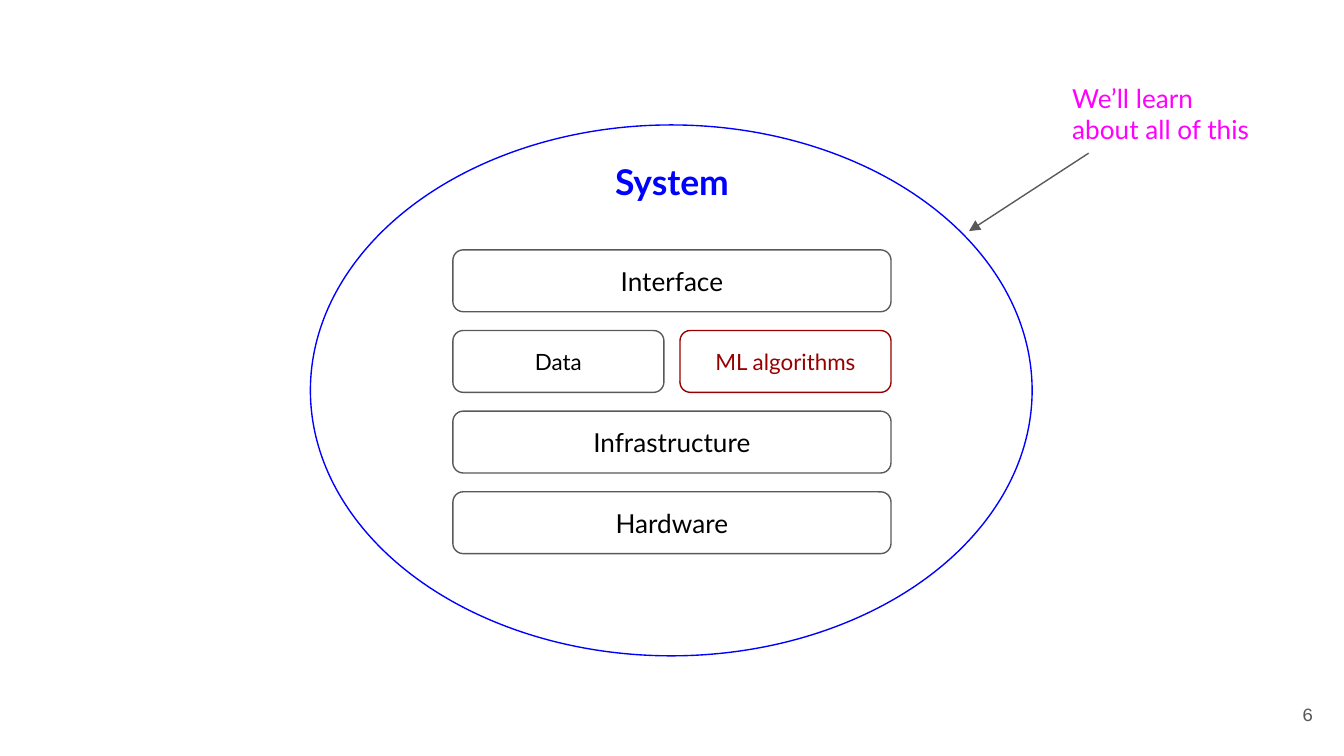
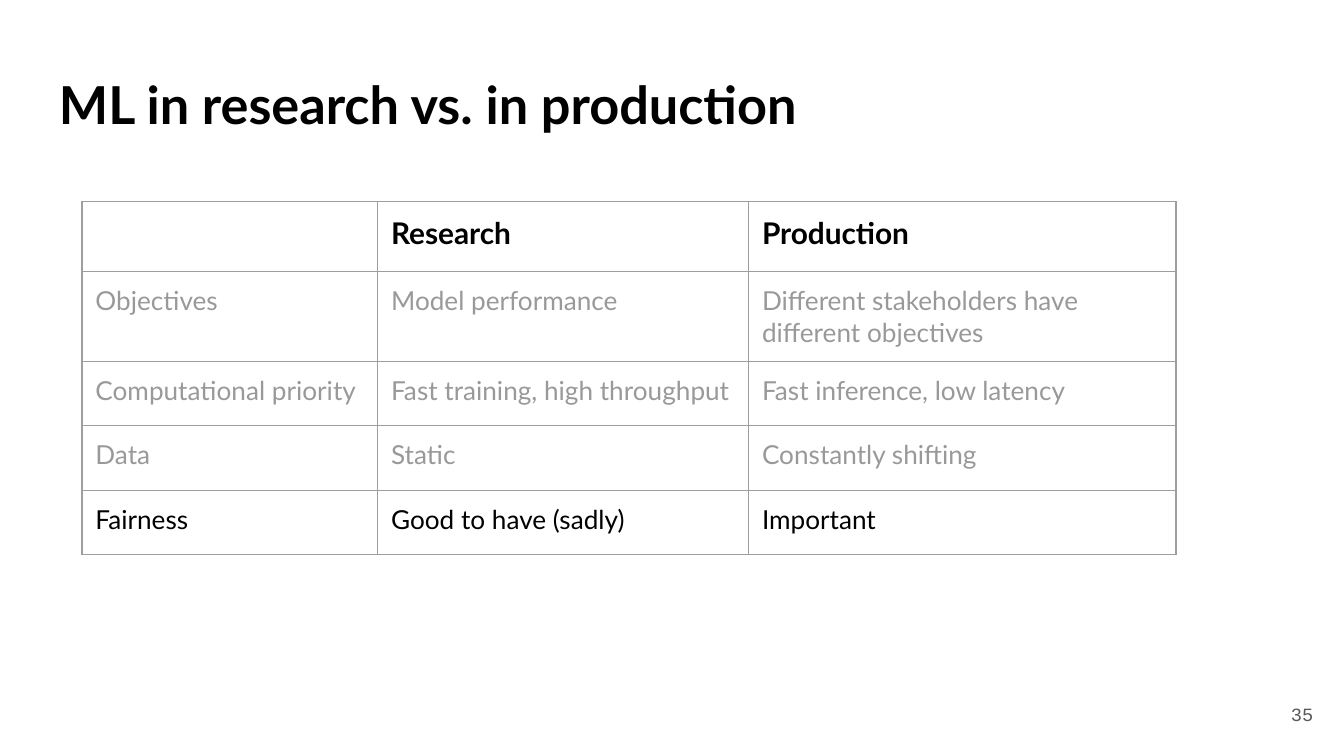
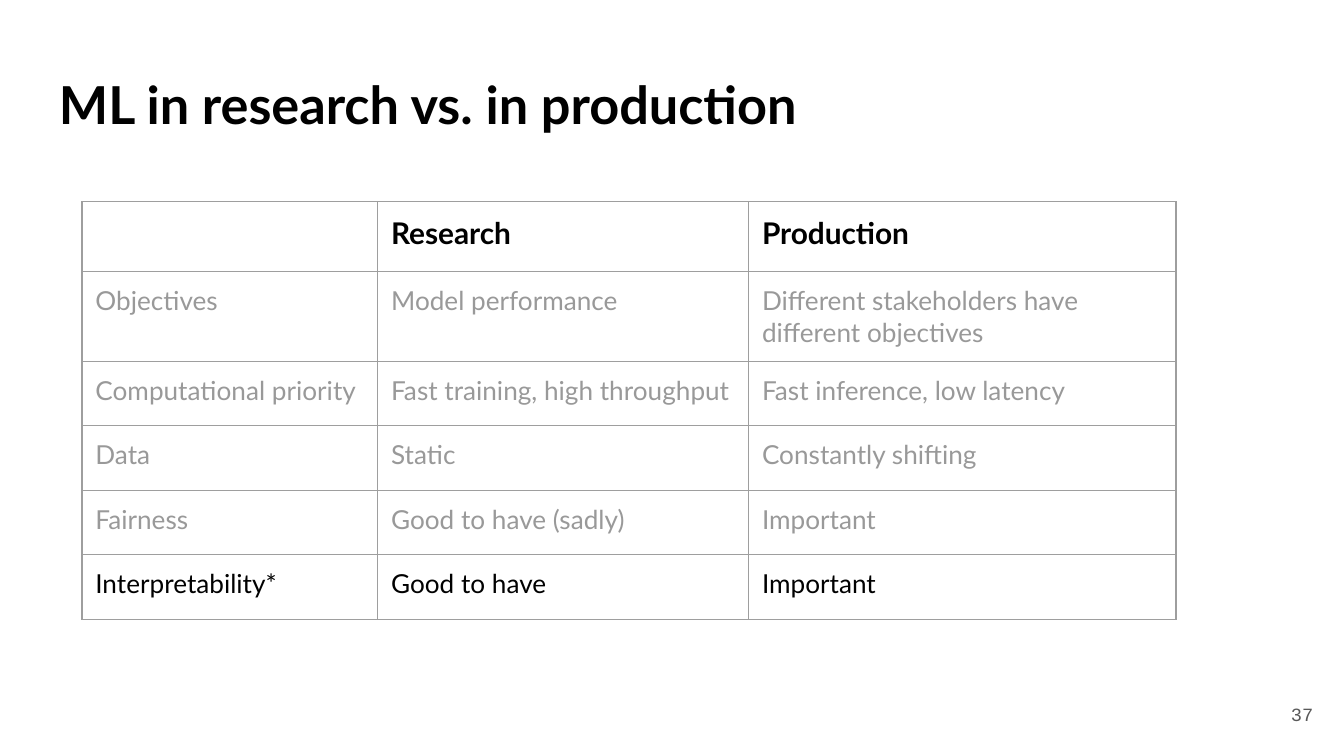
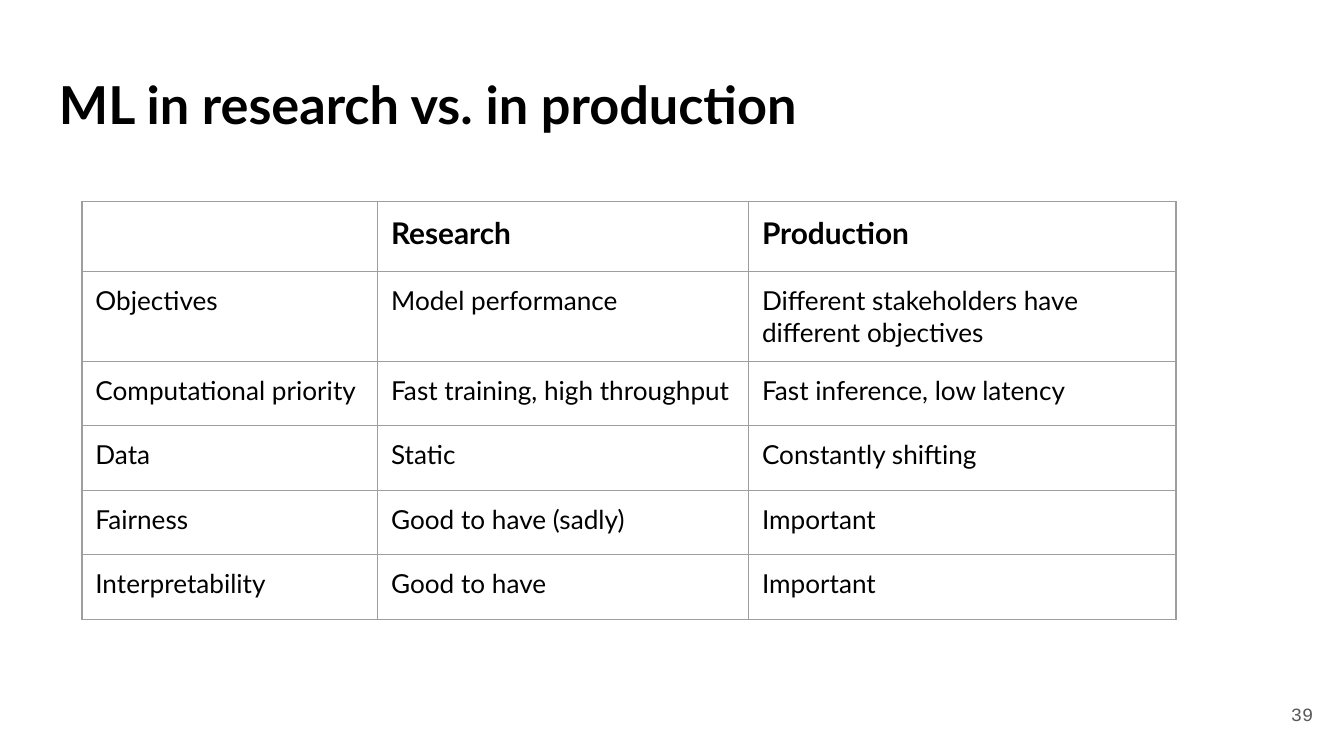
from typing import NamedTuple

from lxml.etree import SubElement
from pptx import Presentation
from pptx.dml.color import RGBColor
from pptx.enum.shapes import MSO_CONNECTOR, MSO_SHAPE
from pptx.enum.text import MSO_ANCHOR, PP_ALIGN
from pptx.oxml import parse_xml
from pptx.oxml.ns import nsdecls, qn
from pptx.shapes.autoshape import Shape
from pptx.slide import Slide
from pptx.text.text import TextFrame
from pptx.util import Inches, Pt

BLACK = RGBColor(0x00, 0x00, 0x00)
BLUE = RGBColor(0x00, 0x00, 0xFF)
MAGENTA = RGBColor(0xFF, 0x00, 0xFF)
DARK_RED = RGBColor(0x98, 0x00, 0x00)
DARK_GRAY = RGBColor(0x59, 0x59, 0x59)
FADED = RGBColor(0x99, 0x99, 0x99)
BORDER = RGBColor(0x9E, 0x9E, 0x9E)

SANS = "Lato"
MONO = "Courier New"
SLIDE_WIDTH = Inches(10)
SLIDE_HEIGHT = SLIDE_WIDTH * 9 // 16
INSET = Inches(0.1)
LINE_WIDTH = Pt(0.75)

LAYER_LEFT, LAYER_TOP, LAYER_WIDTH, LAYER_HEIGHT = 3.37, 1.86, 3.26, 0.46
LAYER_STEP, LAYER_GAP = 0.6, 0.12

COLUMN_WIDTHS = (2.2, 2.76, 3.18)
HEADER_HEIGHT, ROW_HEIGHT = 0.52, 0.48
HEADER = ("", "Research", "Production")
COMPARISON = [
    ("Objectives", "Model performance", "Different stakeholders have different objectives"),
    ("Computational priority", "Fast training, high throughput", "Fast inference, low latency"),
    ("Data", "Static", "Constantly shifting"),
    ("Fairness", "Good to have (sadly)", "Important"),
]


class Box(NamedTuple):
    left: float
    top: float
    width: float
    height: float

    def emu(self) -> list[int]:
        return [Inches(v) for v in self]


class Style(NamedTuple):
    size: int
    color: RGBColor = BLACK
    bold: bool = False
    font: str = SANS
    align: PP_ALIGN = PP_ALIGN.LEFT
    anchor: MSO_ANCHOR = MSO_ANCHOR.TOP


class Part(NamedTuple):
    text: str
    size: int = 14
    text_color: RGBColor = BLACK
    line_color: RGBColor = DARK_GRAY


class Comparison(NamedTuple):
    number: int
    rows: list[tuple[str, str, str]]
    faded: int


LAYERS = [
    [Part("Interface")],
    [Part("Data", 12), Part("ML algorithms", 12, DARK_RED, DARK_RED)],
    [Part("Infrastructure")],
    [Part("Hardware")],
]

COMPARISONS = [
    Comparison(35, COMPARISON, 3),
    Comparison(37, COMPARISON + [("Interpretability*", "Good to have", "Important")], 4),
    Comparison(39, COMPARISON + [("Interpretability", "Good to have", "Important")], 0),
]

TITLE = Style(28, bold=True)
PAGE_NUMBER = Style(10, DARK_GRAY, font=MONO, align=PP_ALIGN.RIGHT, anchor=MSO_ANCHOR.MIDDLE)


def style_paragraph(tf: TextFrame, text: str, style: Style) -> None:
    p = tf.paragraphs[0]
    if text:
        p.add_run().text = text
    p.alignment = style.align
    p.font.name = style.font
    p.font.size = Pt(style.size)
    p.font.bold = style.bold
    p.font.color.rgb = style.color


def write(s: Shape, text: str, style: Style) -> None:
    tf = s.text_frame
    tf.word_wrap = True
    tf.vertical_anchor = style.anchor
    tf.margin_left = tf.margin_right = tf.margin_top = tf.margin_bottom = INSET
    style_paragraph(tf, text, style)


def add_text(slide: Slide, box: Box, text: str, style: Style) -> None:
    write(slide.shapes.add_textbox(*box.emu()), text, style)


def add_outline(slide: Slide, kind: MSO_SHAPE, box: Box, color: RGBColor) -> Shape:
    s = slide.shapes.add_shape(kind, *box.emu())
    s.shadow.inherit = False
    s.fill.background()
    s.line.color.rgb = color
    s.line.width = LINE_WIDTH
    return s


def add_arrow(slide: Slide, start: tuple[float, float], end: tuple[float, float]) -> None:
    points = [Inches(v) for v in start + end]
    s = slide.shapes.add_connector(MSO_CONNECTOR.STRAIGHT, *points)
    s.line.color.rgb = DARK_GRAY
    s.line.width = LINE_WIDTH
    SubElement(s.line._get_or_add_ln(), qn("a:tailEnd"), type="triangle")
    SubElement(s._element.spPr, qn("a:effectLst"))


def add_layers(slide: Slide) -> None:
    for i, parts in enumerate(LAYERS):
        width = (LAYER_WIDTH - LAYER_GAP * (len(parts) - 1)) / len(parts)
        for j, part in enumerate(parts):
            left = LAYER_LEFT + j * (width + LAYER_GAP)
            box = Box(left, LAYER_TOP + i * LAYER_STEP, width, LAYER_HEIGHT)
            s = add_outline(slide, MSO_SHAPE.ROUNDED_RECTANGLE, box, part.line_color)
            style = Style(part.size, part.text_color, align=PP_ALIGN.CENTER,
                          anchor=MSO_ANCHOR.MIDDLE)
            write(s, part.text, style)


def fill_cell(cell, text: str, style: Style) -> None:
    cell.margin_left = cell.margin_right = cell.margin_top = cell.margin_bottom = INSET
    cell.fill.background()
    tc_pr = cell._tc.get_or_add_tcPr()
    for i, side in enumerate("LRTB"):
        tc_pr.insert(i, parse_xml(
            f'<a:ln{side} {nsdecls("a")} w="{LINE_WIDTH}"><a:solidFill>'
            f'<a:srgbClr val="{BORDER}"/></a:solidFill></a:ln{side}>'))
    style_paragraph(cell.text_frame, text, style)


def add_comparison_table(slide: Slide, comparison: Comparison) -> None:
    rows = [HEADER] + comparison.rows
    box = Box(0.61, 1.5, sum(COLUMN_WIDTHS), HEADER_HEIGHT + ROW_HEIGHT * len(comparison.rows))
    table = slide.shapes.add_table(len(rows), len(HEADER), *box.emu()).table
    table.first_row = table.horz_banding = False
    for column, width in zip(table.columns, COLUMN_WIDTHS):
        column.width = Inches(width)
    for i, texts in enumerate(rows):
        table.rows[i].height = Inches(ROW_HEIGHT if i else HEADER_HEIGHT)
        if i == 0:
            style = Style(16, bold=True)
        else:
            style = Style(14, FADED if i <= comparison.faded else BLACK)
        for j, text in enumerate(texts):
            fill_cell(table.cell(i, j), text, style)


def new_slide(prs: Presentation, number: int) -> Slide:
    slide = prs.slides.add_slide(prs.slide_layouts[6])
    add_text(slide, Box(9.27, 5.1, 0.6, 0.43), str(number), PAGE_NUMBER)
    return slide


def build_system(prs: Presentation) -> None:
    slide = new_slide(prs, 6)
    add_outline(slide, MSO_SHAPE.OVAL, Box(2.31, 0.93, 5.37, 3.95), BLUE)
    add_layers(slide)
    add_text(slide, Box(4.42, 1.09, 1.16, 0.46), "System",
             Style(19, BLUE, bold=True, align=PP_ALIGN.CENTER))
    add_arrow(slide, (8.1, 1.14), (7.21, 1.72))
    add_text(slide, Box(7.88, 0.51, 1.57, 0.58), "We’ll learn about all of this",
             Style(14, MAGENTA))


def build_comparison(prs: Presentation, comparison: Comparison) -> None:
    slide = new_slide(prs, comparison.number)
    add_comparison_table(slide, comparison)
    add_text(slide, Box(0.34, 0.44, 9.32, 0.63), "ML in research vs. in production", TITLE)


def main() -> None:
    prs = Presentation()
    prs.slide_width, prs.slide_height = SLIDE_WIDTH, SLIDE_HEIGHT
    build_system(prs)
    for comparison in COMPARISONS:
        build_comparison(prs, comparison)
    prs.save("out.pptx")


if __name__ == "__main__":
    main()
